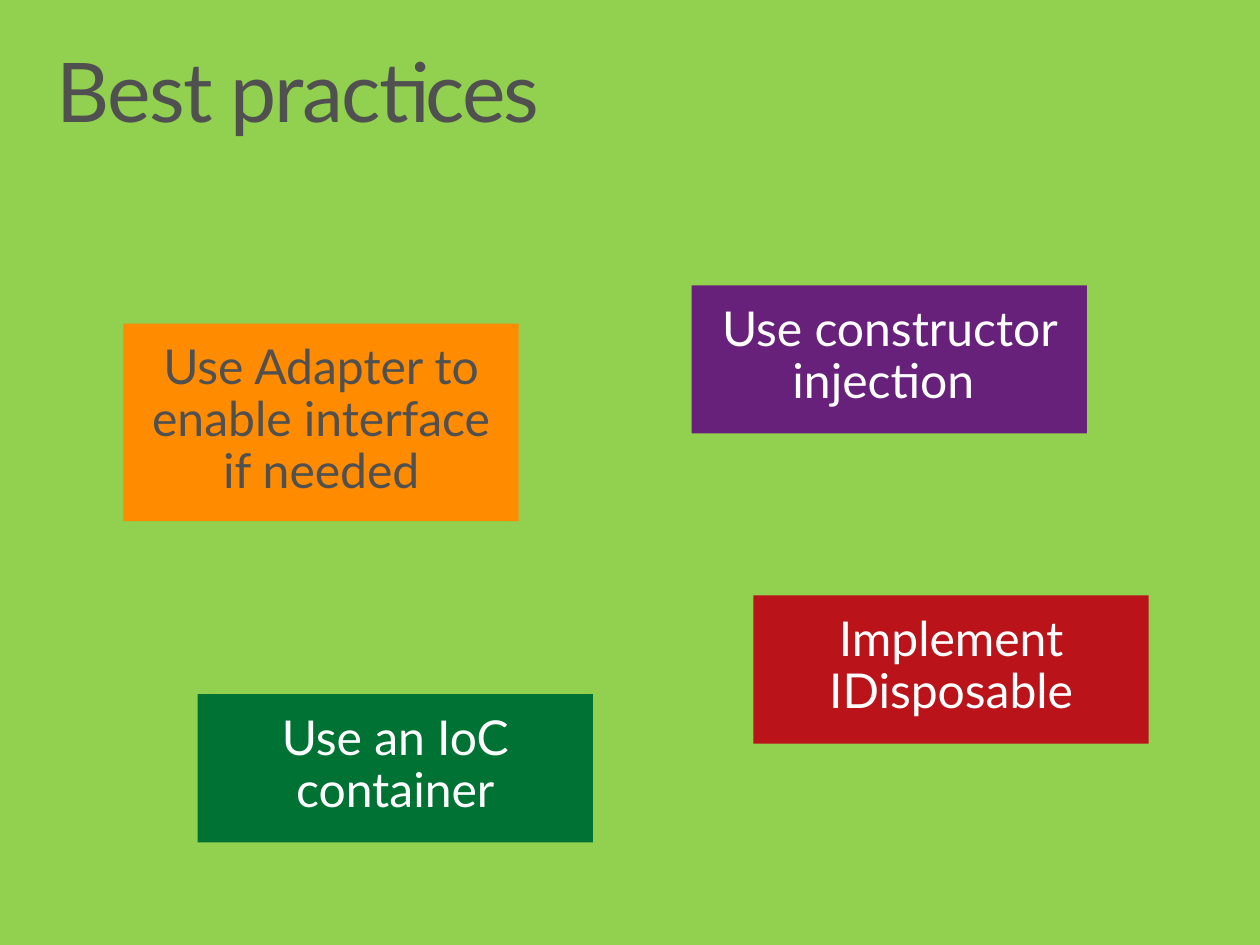
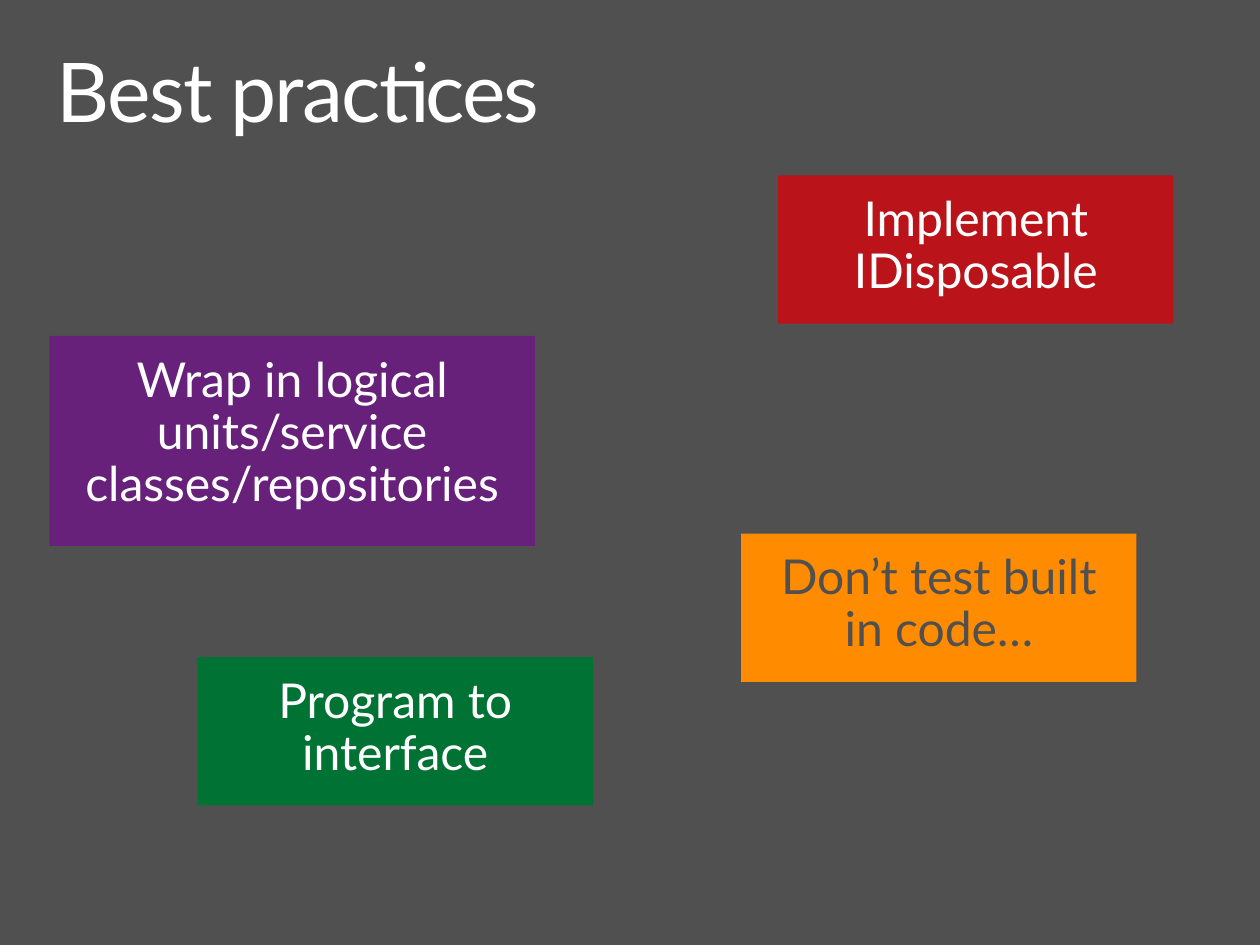
import pptx
import pptx.util
import pptx.dml.color
import pptx.enum.shapes
import pptx.enum.text

Inches = pptx.util.Inches
Pt = pptx.util.Pt

COLORS = {
    "lime": "92D050",
    "gray": "505050",
    "white": "FFFFFF",
    "purple": "68217A",
    "red": "BA141A",
    "orange": "FF8C00",
    "green": "007233",
}
FONT = "Lato"
TITLE_BOX = (0.3, 0.32, 9.6, 1)
CARD_TEXT = {"purple": "white", "red": "white", "orange": "gray", "green": "white"}

SLIDES = [
    ("lime", "gray", "Best practices", [
        ("purple", (5.6, 2.31, 3.2, 1.2), "Use constructor injection "),
        ("red", (6.1, 4.82, 3.2, 1.2), "Implement IDisposable"),
        ("orange", (1, 2.62, 3.2, 1.6), "Use Adapter to enable interface if needed"),
        ("green", (1.6, 5.62, 3.2, 1.2), "Use an IoC container"),
    ]),
    ("gray", "white", "Best practices", [
        ("purple", (0.4, 2.72, 3.93, 1.7), "Wrap in logical units/service classes/repositories"),
        ("red", (6.3, 1.42, 3.2, 1.2), "Implement IDisposable"),
        ("orange", (6, 4.32, 3.2, 1.2), "Don’t test built in code…"),
        ("green", (1.6, 5.32, 3.2, 1.2), "Program to interface"),
    ]),
]


def paint(fill, color):
    fill.solid()
    fill.fore_color.rgb = pptx.dml.color.RGBColor.from_string(COLORS[color])


def write(sp, text, size, color, align, inset_x, inset_y):
    tf = sp.text_frame
    tf.word_wrap = True
    tf.vertical_anchor = pptx.enum.text.MSO_ANCHOR.TOP
    tf.margin_left = tf.margin_right = Inches(inset_x)
    tf.margin_top = tf.margin_bottom = Inches(inset_y)
    p = tf.paragraphs[0]
    p.alignment = align
    p.line_spacing = 0.9
    p.font.name = FONT
    p.font.size = Pt(size)
    p.font.color.rgb = pptx.dml.color.RGBColor.from_string(COLORS[color])
    r = p.add_run()
    r.text = text
    return r


def add_title(s, box, text, color):
    sp = s.shapes.add_textbox(*map(Inches, box))
    r = write(sp, text, 48, color, pptx.enum.text.PP_ALIGN.LEFT, 0.16, 0.1)
    r.font._element.set("spc", "-100")


def add_card(s, box, text, color):
    sp = s.shapes.add_shape(pptx.enum.shapes.MSO_SHAPE.RECTANGLE, *map(Inches, box))
    sp.shadow.inherit = False
    sp.line.fill.background()
    paint(sp.fill, color)
    write(sp, text, 28, CARD_TEXT[color], pptx.enum.text.PP_ALIGN.CENTER, 0.2, 0.16)


def add_practices_slide(prs, background, title_color, title, cards):
    s = prs.slides.add_slide(prs.slide_layouts[6])
    paint(s.background.fill, background)
    add_title(s, TITLE_BOX, title, title_color)
    for color, box, text in cards:
        add_card(s, box, text, color)


prs = pptx.Presentation()
prs.slide_width = Inches(10.2)
prs.slide_height = Inches(7.65)
for slide in SLIDES:
    add_practices_slide(prs, *slide)
prs.save("out.pptx")
